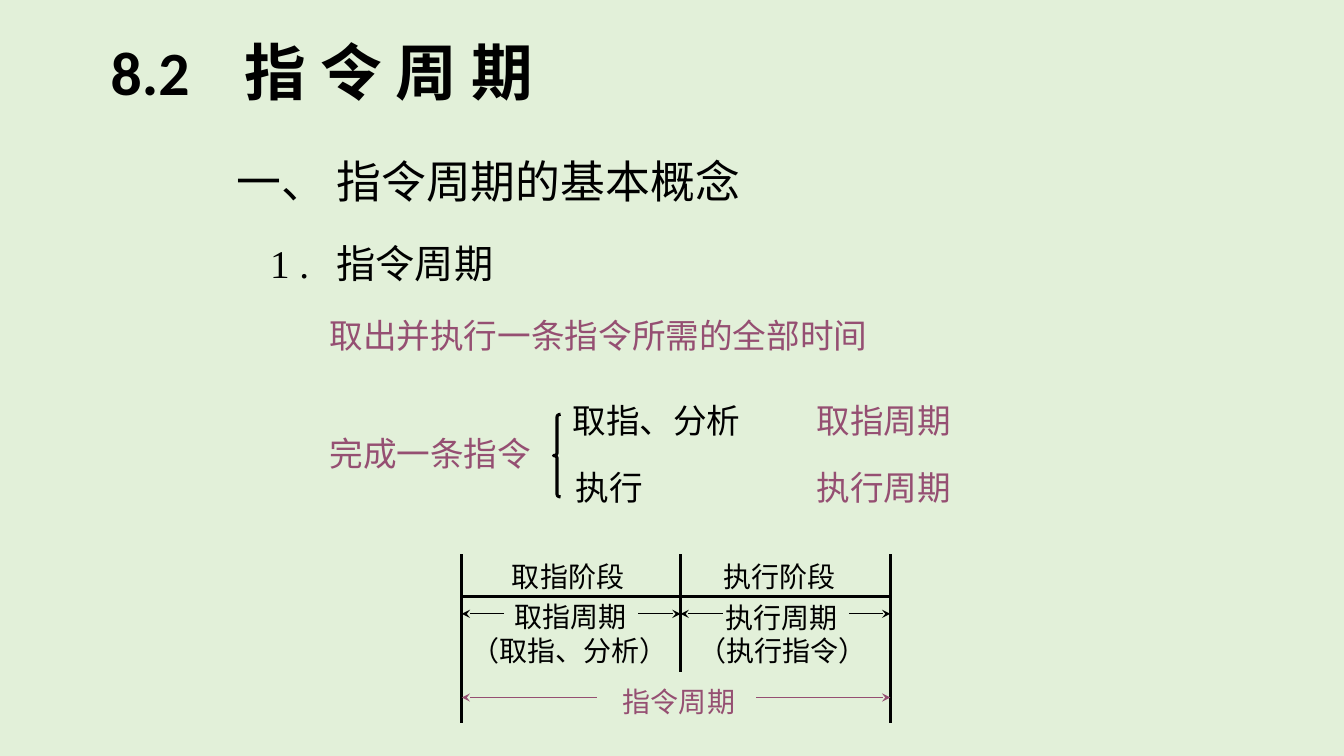
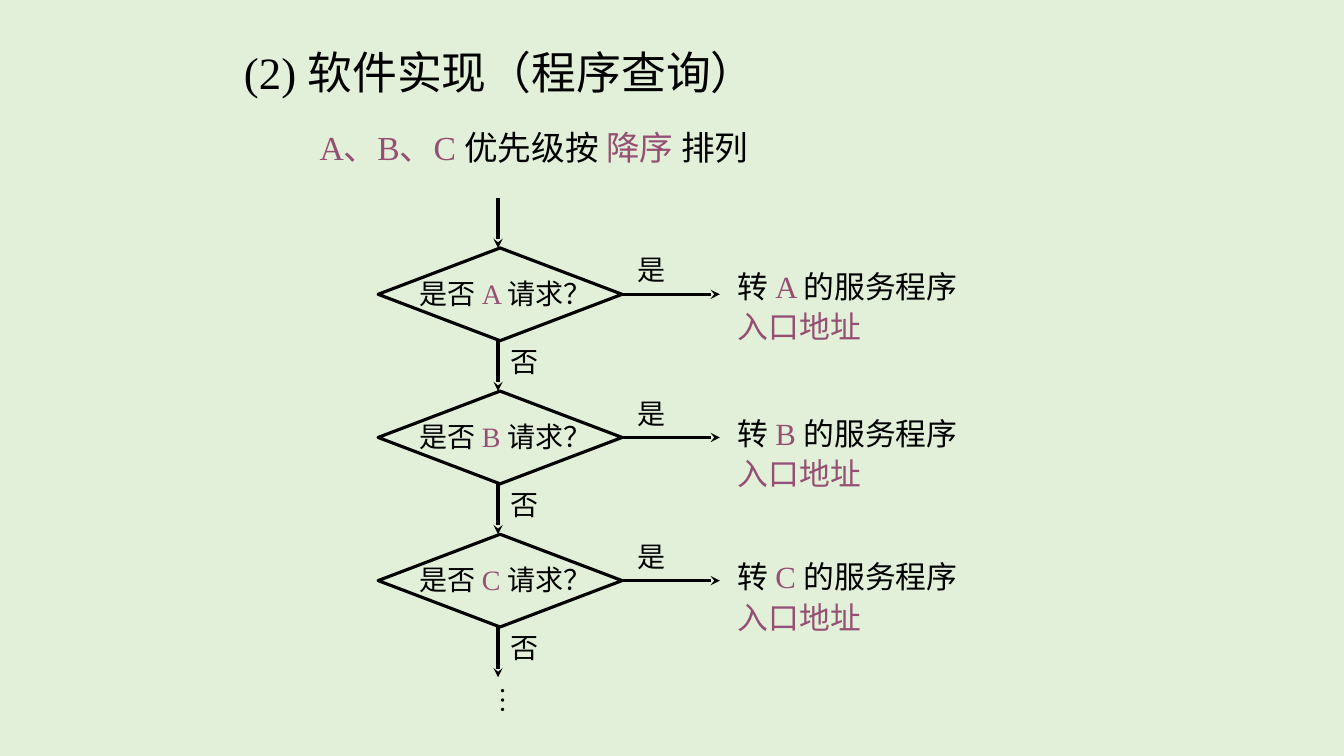
from lxml.etree import SubElement
from pptx import Presentation
from pptx.dml.color import RGBColor
from pptx.enum.shapes import MSO_CONNECTOR, MSO_SHAPE
from pptx.enum.text import MSO_ANCHOR
from pptx.oxml.ns import qn
from pptx.util import Inches, Pt

BACKGROUND = RGBColor(0xE2, 0xF0, 0xD9)
BLACK = RGBColor(0x00, 0x00, 0x00)
PLUM = RGBColor(0x95, 0x4F, 0x72)
TITLE_FONT = "Calibri"
BODY_FONT = "Times New Roman"
THICK, THIN = 2.25, 0.75


def add_text(s, x, y, w, h, paragraphs, size, font=BODY_FONT, bold=False,
             anchor=MSO_ANCHOR.TOP, left=0.1, top=0.05, spacing=None, gap=0, tab=None):
    """Add a text box; each paragraph is a list of (text, colour) runs."""
    sp = s.shapes.add_textbox(Inches(x), Inches(y), Inches(w), Inches(h))
    tf = sp.text_frame
    tf.word_wrap = True
    tf.vertical_anchor = anchor
    tf.margin_left, tf.margin_top = Inches(left), Inches(top)
    for i, runs in enumerate(paragraphs):
        p = tf.add_paragraph() if i else tf.paragraphs[0]
        if tab:
            tabs = SubElement(p._p.get_or_add_pPr(), qn("a:tabLst"))
            SubElement(tabs, qn("a:tab"), pos=str(Inches(tab)), algn="l")
        if spacing:
            p.line_spacing = spacing
        if i and gap:
            p.space_before = Pt(gap)
        for text, color in runs:
            r = p.add_run()
            r.text = text
            r.font.name = font
            r.font.size = Pt(size)
            r.font.bold = bold
            r.font.color.rgb = color
    return sp


def add_line(s, x1, y1, x2, y2, width=THICK, color=BLACK, arrow=False):
    line = s.shapes.add_connector(MSO_CONNECTOR.STRAIGHT, Inches(x1), Inches(y1),
                                  Inches(x2), Inches(y2))
    line.line.color.rgb = color
    line.line.width = Pt(width)
    if arrow:
        SubElement(line.line._get_or_add_ln(), qn("a:tailEnd"), type="stealth")
    SubElement(line._element.spPr, qn("a:effectLst"))


prs = Presentation()
prs.slide_width, prs.slide_height = Inches(13.33), Inches(7.5)
fill = prs.slide_master.background.fill
fill.solid()
fill.fore_color.rgb = BACKGROUND
blank = prs.slide_layouts[6]

# Slide 1: the instruction cycle
s = prs.slides.add_slide(blank)
add_text(s, 1, 0.12, 8.5, 1.25, [[("8.2\t指 令 周 期", BLACK)]], 44, font=TITLE_FONT,
         bold=True, anchor=MSO_ANCHOR.MIDDLE, spacing=0.9, tab=1.33)
add_text(s, 2.25, 1.48, 6.25, 0.63, [[("一、 指令周期的基本概念", BLACK)]], 32)
add_text(s, 2.58, 2.33, 6.25, 0.57, [[("1 .\t指令周期", BLACK)]], 28, tab=0.66)

for x, y, w, text, color in [
    (3.17, 3.08, 6.25, "取出并执行一条指令所需的全部时间", PLUM),
    (3.17, 4.25, 3, "完成一条指令", PLUM),
    (5.58, 3.92, 2.17, "取指、分析", BLACK),
    (5.61, 4.58, 1.72, "执行", BLACK),
    (8, 3.92, 2, "取指周期", PLUM),
    (8, 4.58, 2, "执行周期", PLUM),
]:
    add_text(s, x, y, w, 0.5, [[(text, color)]], 24)

brace = s.shapes.add_shape(MSO_SHAPE.LEFT_BRACE, Inches(5.49), Inches(4.11),
                           Inches(0.07), Inches(0.82))
brace.adjustments[0] = 0.35
brace.shadow.inherit = False
brace.fill.background()
brace.line.color.rgb = BLACK
brace.line.width = Pt(THICK)

# Timing diagram
start, middle, end = 4.58, 6.75, 8.83
for x, y, w, text, color in [
    (4.98, 5.5, 1.4, "取指阶段", BLACK),
    (5, 5.9, 1.4, "取指周期", BLACK),
    (start, 6.24, 2.2, "（取指、分析）", BLACK),
    (7.08, 5.5, 1.4, "执行阶段", BLACK),
    (7.1, 5.91, 1.4, "执行周期", BLACK),
    (6.83, 6.24, 2, "（执行指令）", BLACK),
    (6.08, 6.74, 1.4, "指令周期", PLUM),
]:
    add_text(s, x, y, w, 0.44, [[(text, color)]], 20)

add_line(s, start, 5.92, end, 5.92)
for x, bottom in [(start, 7.17), (middle, 6.67), (end, 7.17)]:
    add_line(s, x, 5.5, x, bottom)
for tail, tip in [(5, start), (6.33, middle), (7.17, middle), (8.42, end)]:
    add_line(s, tail, 6.09, tip, 6.09, THIN, arrow=True)
for tail, tip in [(5.92, start), (7.5, end)]:
    add_line(s, tail, 6.92, tip, 6.92, THIN, PLUM, arrow=True)

# Slide 2: polling in software
s = prs.slides.add_slide(blank)
add_text(s, 2.42, 0.42, 8, 0.58, [[("(2) 软件实现（程序查询）", BLACK)]], 32,
         anchor=MSO_ANCHOR.MIDDLE, left=0)
add_text(s, 3.17, 1.17, 8, 0.58,
         [[("A、B、C ", PLUM), ("优先级按 ", BLACK), ("降序 ", PLUM), ("排列", BLACK)]], 24,
         anchor=MSO_ANCHOR.MIDDLE, left=0)

axis, first, pitch, height, drop = 4.94, 2.46, 1.42, 0.92, 0.5
add_line(s, axis, first - drop, axis, first, arrow=True)
for i, (source, entry_y) in enumerate(zip("ABC", (2.66, 4.12, 5.54))):
    y = first + i * pitch
    bottom, center = y + height, y + height / 2
    diamond = s.shapes.add_shape(MSO_SHAPE.DIAMOND, Inches(3.75), Inches(y),
                                 Inches(2.42), Inches(height))
    diamond.shadow.inherit = False
    diamond.fill.background()
    diamond.line.color.rgb = BLACK
    diamond.line.width = Pt(THICK)
    add_text(s, 4.16, y + 0.28, 2.2, 0.38,
             [[("是否 ", BLACK), (f"{source} ", PLUM), ("请求？", BLACK)]], 20, left=0, top=0)
    add_line(s, 6.14, center, 7.14, center, arrow=True)
    add_text(s, 6.22, y, 0.67, 0.43, [[("是", BLACK)]], 20)
    add_line(s, axis, bottom, axis, bottom + drop, arrow=True)
    add_text(s, 4.97, bottom - 0.01, 0.67, 0.43, [[("否", BLACK)]], 20)
    add_text(s, 7.22, entry_y, 3.83, 0.91,
             [[("转 ", BLACK), (f"{source} ", PLUM), ("的服务程序", BLACK)],
              [("入口地址", PLUM)]], 22, spacing=0.85, gap=6.5)

dots = add_text(s, 4.77, 6.71, 0.53, 0.5, [[("…", BLACK)]], 20)
dots.text_frame._txBody.bodyPr.set("vert", "eaVert")

prs.save("out.pptx")
